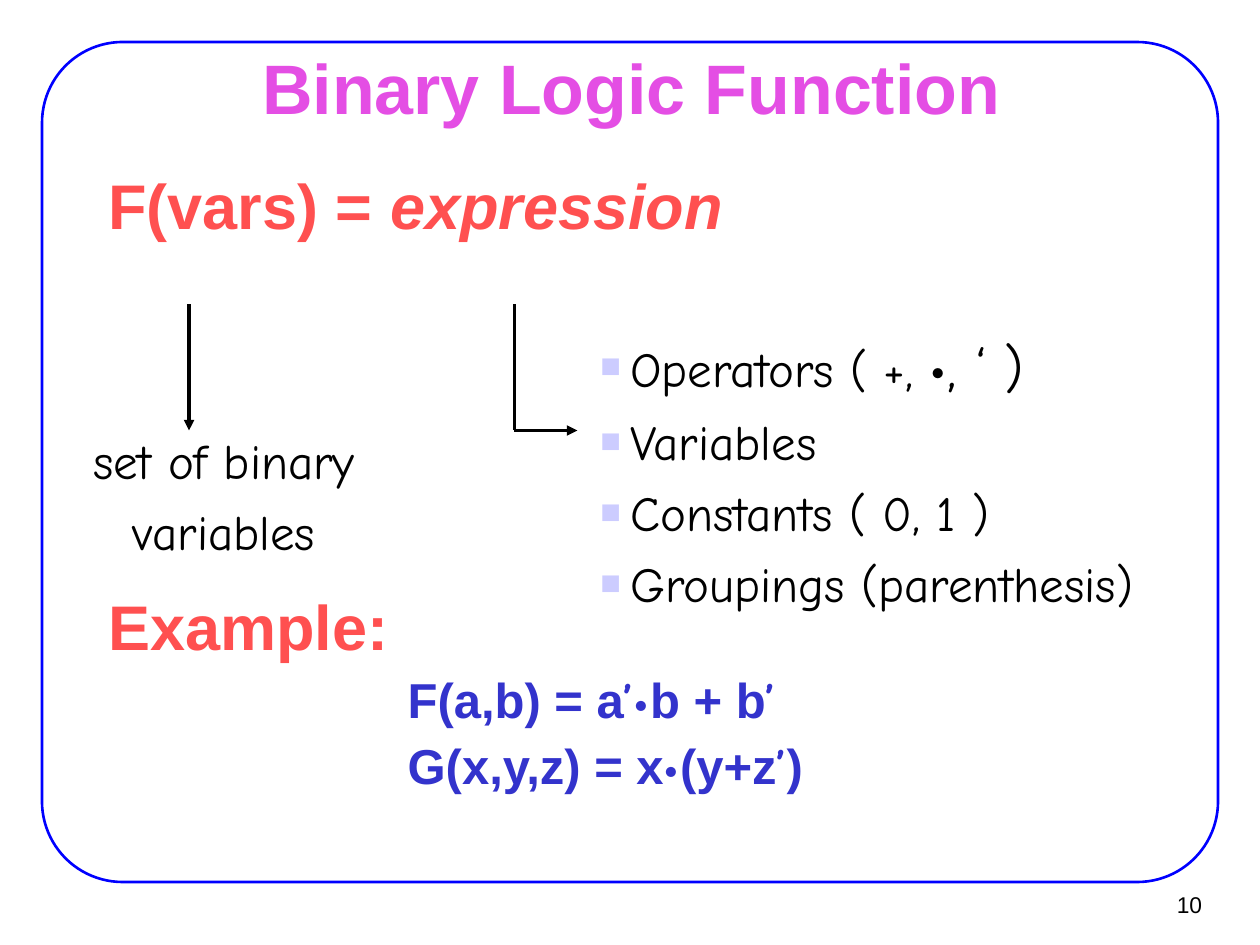
from lxml.etree import SubElement as Sub
from pptx import Presentation as Deck
from pptx.dml.color import RGBColor as Rgb
from pptx.enum.shapes import MSO_CONNECTOR as Wire, MSO_SHAPE as Form
from pptx.enum.text import MSO_ANCHOR as Anchor, PP_ALIGN as Align
from pptx.oxml.ns import qn
from pptx.util import Pt

SANS, HAND = "Arial", "Comic Neue"
BLACK, RED, BLUE = "000000", "FF5050", "3333CC"
HEAD = dict(name=SANS, size=Pt(36), bold=True, color=RED)
MATH = dict(name=SANS, size=Pt(28), bold=True, color=BLUE)
SIGN = {**MATH, "name": HAND}
NOTE = dict(name=HAND, size=Pt(28), color=BLACK)


def paint(fmt, color):
    """Give a colour format a hex colour."""
    fmt.rgb = Rgb.from_string(color)


def style(font, form):
    """Set the font values held in a dict."""
    for key, val in form.items():
        if key == "color":
            paint(font.color, val)
        else:
            setattr(font, key, val)


def write(para, runs, **form):
    """Add styled runs to a paragraph and set its format."""
    for key, val in form.items():
        setattr(para, key, val)
    for text, look in runs:
        run = para.add_run()
        run.text = text
        style(run.font, look)


def setup(frame, side, edge, **form):
    """Set the insets and options of a text frame."""
    frame.margin_left = frame.margin_right = Pt(side)
    frame.margin_top = frame.margin_bottom = Pt(edge)
    for key, val in form.items():
        setattr(frame, key, val)


def add_text(slide, area, paras, side=7.2, edge=3.6, wrap=True, **form):
    """Add a text box of (runs, format) pairs and return its paragraphs."""
    frame = slide.shapes.add_textbox(*map(Pt, area)).text_frame
    setup(frame, side, edge, word_wrap=wrap, **form)
    for num, (runs, look) in enumerate(paras):
        para = frame.add_paragraph() if num else frame.paragraphs[0]
        write(para, runs, **look)
    return frame.paragraphs


def indent(para, left, first=0):
    """Set the left margin and first-line indent."""
    props = para._p.get_or_add_pPr()
    props.set("marL", str(Pt(left)))
    props.set("indent", str(Pt(first)))
    return props


def bullet(para):
    """Put a small pale square before a paragraph."""
    props = indent(para, 17, -17)
    color = Sub(props, qn("a:buClr"))
    Sub(color, qn("a:srgbClr"), val="CCCCFF")
    Sub(props, qn("a:buSzPct"), val="70000")
    Sub(props, qn("a:buFont"), typeface=SANS)
    Sub(props, qn("a:buChar"), char="■")


def add_line(slide, ends, arrow=True):
    """Draw a black line, with an arrowhead if wanted."""
    line = slide.shapes.add_connector(Wire.STRAIGHT, *map(Pt, ends))
    line.line.width = Pt(2)
    paint(line.line.color, BLACK)
    if arrow:
        Sub(line.line._get_or_add_ln(), qn("a:tailEnd"), type="triangle")
    Sub(line._element.spPr, qn("a:effectLst"))


def add_frame(slide):
    """Draw the round blue border."""
    box = slide.shapes.add_shape(Form.ROUNDED_RECTANGLE, Pt(24), Pt(24), Pt(672), Pt(480))
    box.adjustments[0] = 0.096
    box.shadow.inherit = False
    box.fill.background()
    box.line.width = Pt(1.5)
    paint(box.line.color, "0000FF")


def add_title(slide, text):
    """Place and fill the title."""
    title = slide.shapes.title
    area = dict(left=54.7, top=31.7, width=612, height=35.3)
    for key, val in area.items():
        setattr(title, key, Pt(val))
    setup(title.text_frame, 8, 4, vertical_anchor=Anchor.MIDDLE, word_wrap=True)
    look = dict(name=SANS, size=Pt(40), bold=True, color="E44EE4")
    write(title.text_frame.paragraphs[0], [(text, look)], alignment=Align.CENTER)


def add_body(slide):
    """Add the general form and the worked example."""
    tight = dict(line_spacing=0.9)
    sums = {**tight, "space_before": Pt(7)}
    paras = add_text(slide, (54, 95.8, 612, 366), [
        ([("F(vars) = ", HEAD), ("expression", {**HEAD, "italic": True})], tight),
        ([("Example:", HEAD)], {**tight, "space_before": Pt(202)}),
        ([("F(a,b) = a", MATH), ("’•", SIGN), ("b + b", MATH), ("’", SIGN)], sums),
        ([("G(x,y,z) = x", MATH), ("•", SIGN), ("(y+z", MATH), ("’", SIGN),
          (")", MATH)], sums),
    ], side=8, edge=4)
    for para in paras[2:]:
        indent(para, 171)


def add_notes(slide):
    """Add the two notes on the parts of the form."""
    mid, gap = dict(alignment=Align.CENTER), dict(space_before=Pt(7))
    add_text(slide, (46, 242.6, 164, 81.4), [
        ([("set of binary", NOTE)], mid),
        ([("variables", NOTE)], {**mid, **gap}),
    ], wrap=False)
    big = {**NOTE, "size": Pt(32)}
    items = [([("Operators ( +, ", NOTE), ("•, ‘ )", big)], {})]
    for text in ("Variables", "Constants ( 0, 1 )", "Groupings (parenthesis)"):
        items.append(([(text, NOTE)], gap))
    for para in add_text(slide, (336, 186, 370, 208), items):
        bullet(para)


def main():
    """Build and save the slide."""
    deck = Deck()
    deck.slide_width, deck.slide_height = Pt(720), Pt(540)
    slide = deck.slides.add_slide(deck.slide_layouts[5])
    add_frame(slide)
    add_title(slide, "Binary Logic Function")
    add_body(slide)
    add_line(slide, (108, 174, 108, 246))
    add_line(slide, (294, 174, 294, 246), arrow=False)
    add_line(slide, (294, 246, 330, 246))
    add_notes(slide)
    page = [("10", dict(name=SANS, size=Pt(13), color=BLACK))]
    add_text(slide, (649.4, 503.3, 44, 26.6), [(page, dict(alignment=Align.RIGHT))],
             side=6.5, edge=3, wrap=False, vertical_anchor=Anchor.MIDDLE)
    deck.save("out.pptx")


if __name__ == "__main__":
    main()
